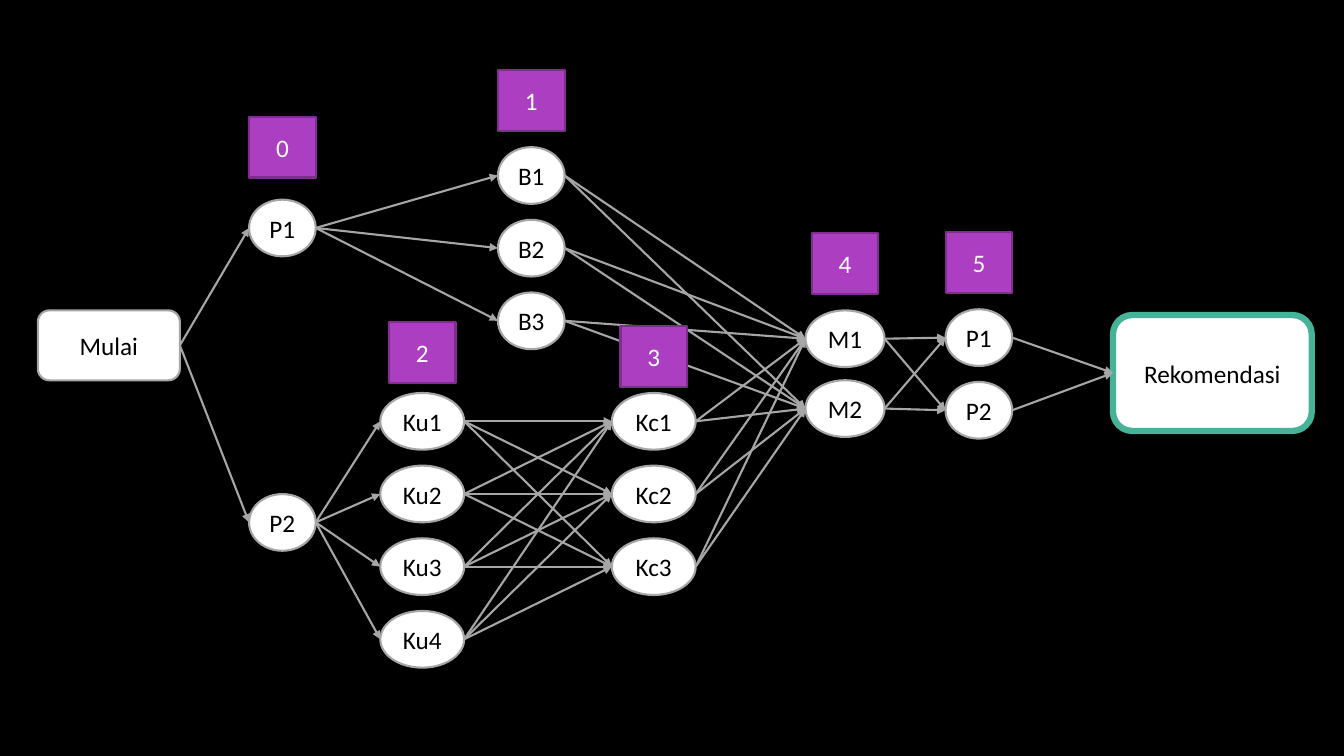
from itertools import product
from pptx import Presentation
from pptx.dml.color import RGBColor
from pptx.enum.shapes import MSO_CONNECTOR, MSO_SHAPE
from pptx.enum.text import MSO_ANCHOR, PP_ALIGN
from pptx.oxml.ns import qn
from pptx.util import Pt
from lxml.etree import SubElement

GREY, WHITE, BLACK = "A6A6A6", "FFFFFF", "000000"
NODE_H, BADGE_W, BADGE_H = 40.5, 47.6, 43.4
NODE = {"fill": WHITE, "line": GREY, "weight": 1.5, "color": BLACK}
BADGE = {"fill": "AC3EC1", "line": "7F2E8F", "weight": 1.5, "color": WHITE}
RESULT = {**NODE, "line": "46B298", "weight": 4.5}
FRAME = {"margin_left": 0, "margin_right": 0, "margin_top": 0, "margin_bottom": 0,
         "word_wrap": False, "vertical_anchor": MSO_ANCHOR.MIDDLE}
FONT = {"name": "Calibri", "size": Pt(18)}

COLUMNS = {
    "start": (201.7, 47.6, 142.6, 210.3, ["P1", "P2"]),
    "b": (379.5, 47.6, 105.1, 51.9, ["B1", "B2", "B3"]),
    "ku": (301.6, 59.9, 280.7, 51.9, ["Ku1", "Ku2", "Ku3", "Ku4"]),
    "kc": (467, 59.9, 280.7, 51.9, ["Kc1", "Kc2", "Kc3"]),
    "m": (603.6, 56.5, 221.7, 49.9, ["M1", "M2"]),
    "end": (699.2, 47.6, 220.9, 51.9, ["P1", "P2"]),
}
BADGES = [("start", 83.4), ("b", 50), ("ku", 230), ("kc", 233), ("m", 166.5), ("end", 165.8)]


def rgb(value):
    return RGBColor.from_string(value)


def assign(target, values):
    for name, value in values.items():
        setattr(target, name, value)


def add_box(s, kind, text, x, y, w, h, style):
    sp = s.shapes.add_shape(kind, Pt(x), Pt(y), Pt(w), Pt(h))
    sp.shadow.inherit = False
    sp.fill.solid()
    sp.fill.fore_color.rgb = rgb(style["fill"])
    sp.line.color.rgb = rgb(style["line"])
    sp.line.width = Pt(style["weight"])
    tf = sp.text_frame
    assign(tf, FRAME)
    p = tf.paragraphs[0]
    p.alignment = PP_ALIGN.CENTER
    r = p.add_run()
    r.text = text
    assign(r.font, FONT)
    r.font.color.rgb = rgb(style["color"])
    return sp


def add_column(s, center, width, top, step, labels):
    return [add_box(s, MSO_SHAPE.OVAL, label, center - width / 2, top + i * step,
                    width, NODE_H, NODE) for i, label in enumerate(labels)]


def add_arrow(s, source, target):
    cxn = s.shapes.add_connector(
        MSO_CONNECTOR.STRAIGHT,
        source.left + source.width, source.top + source.height // 2,
        target.left, target.top + target.height // 2)
    if source.auto_shape_type == MSO_SHAPE.ROUNDED_RECTANGLE:
        cxn.begin_connect(source, 3)
    if target.auto_shape_type == MSO_SHAPE.ROUNDED_RECTANGLE:
        cxn.end_connect(target, 1)
    cxn.line.color.rgb = rgb(GREY)
    cxn.line.width = Pt(1.5)
    SubElement(cxn.line._get_or_add_ln(), qn("a:tailEnd"), type="triangle")
    SubElement(cxn._element.spPr, qn("a:effectLst"))


def link_all(s, sources, targets):
    for source, target in product(sources, targets):
        add_arrow(s, source, target)


def main():
    prs = Presentation()
    prs.slide_width, prs.slide_height = Pt(960), Pt(540)
    s = prs.slides.add_slide(prs.slide_layouts[6])
    s.background.fill.solid()
    s.background.fill.fore_color.rgb = rgb(BLACK)

    nodes = {name: add_column(s, *column) for name, column in COLUMNS.items()}
    p1, p2 = nodes["start"]
    link_all(s, [p1], nodes["b"])
    link_all(s, [p2], nodes["ku"])
    link_all(s, nodes["ku"], nodes["kc"])
    link_all(s, nodes["b"] + nodes["kc"], nodes["m"])
    link_all(s, nodes["m"], nodes["end"])

    mulai = add_box(s, MSO_SHAPE.ROUNDED_RECTANGLE, "Mulai", 27, 221.7, 101.5, 50, NODE)
    link_all(s, [mulai], nodes["start"])
    for number, (name, top) in enumerate(BADGES):
        add_box(s, MSO_SHAPE.RECTANGLE, str(number), COLUMNS[name][0] - BADGE_W / 2, top,
                BADGE_W, BADGE_H, BADGE)
    result = add_box(s, MSO_SHAPE.ROUNDED_RECTANGLE, "Rekomendasi",
                     795, 225, 142, 82.8, RESULT)
    link_all(s, nodes["end"], [result])
    prs.save("out.pptx")


if __name__ == "__main__":
    main()
